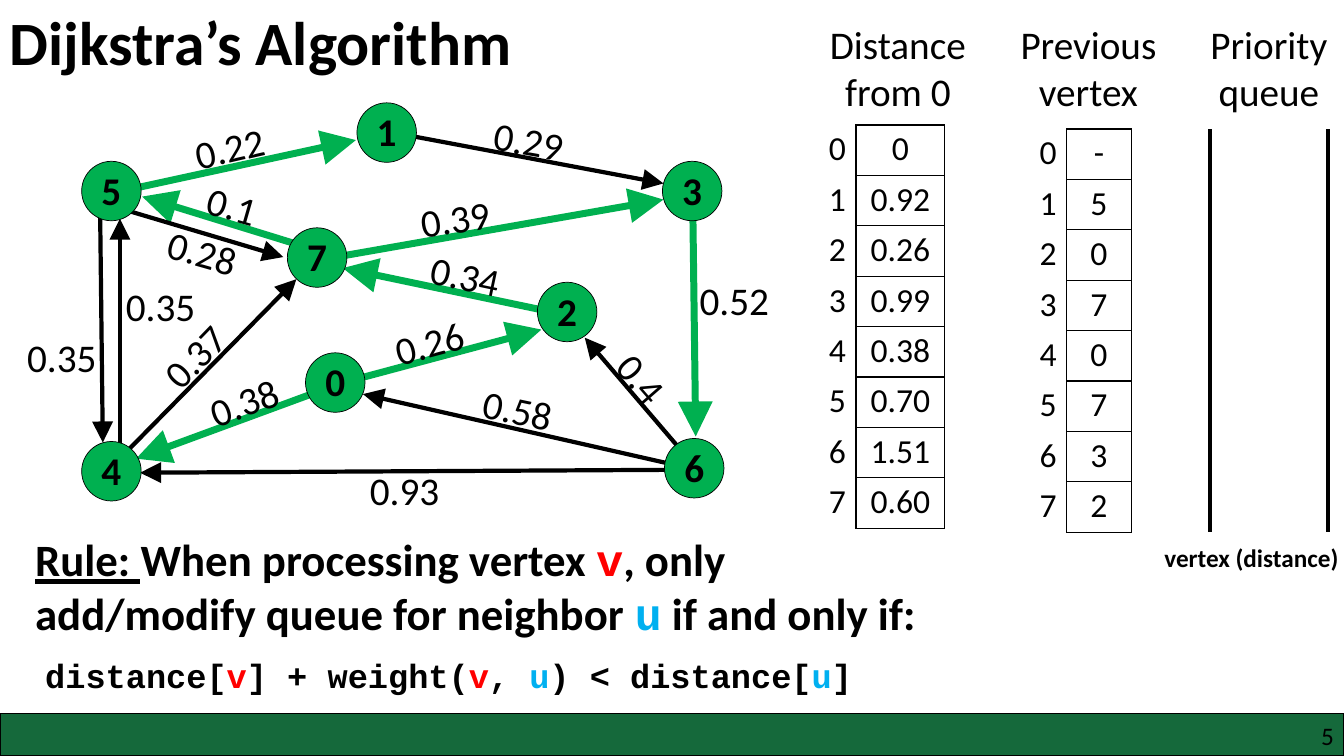
from lxml import etree
from pptx import Presentation
from pptx.dml.color import RGBColor
from pptx.enum.shapes import MSO_CONNECTOR, MSO_SHAPE
from pptx.enum.text import MSO_ANCHOR, PP_ALIGN
from pptx.oxml.ns import qn
from pptx.util import Emu, Pt

STRAIGHT = MSO_CONNECTOR.STRAIGHT
OVAL, RECT = MSO_SHAPE.OVAL, MSO_SHAPE.RECTANGLE
LEFT, CENTER, RIGHT = PP_ALIGN.LEFT, PP_ALIGN.CENTER, PP_ALIGN.RIGHT
TOP, MIDDLE = MSO_ANCHOR.TOP, MSO_ANCHOR.MIDDLE

PX = 9144  # 100 px to the inch
W, H = 1333, 750
BODY, CODE = "Calibri", "Courier New"
BLACK, GREEN, FOOTER = "000000", "00B050", "15693B"
RED, BLUE = "FF0000", "00B0F0"

HEADINGS = [("Distance from 0", 805), ("Previous vertex", 994), ("Priority queue", 1173)]

# left, top, column widths, value for each vertex
TABLES = [
    (994, 128, (64, 64), ["-", "5", "0", "7", "0", "7", "3", "2"]),
    (786, 124, (63, 88), ["0", "0.92", "0.26", "0.99", "0.38", "0.70", "1.51", "0.60"]),
]
ROW = 50

# queue sides
QUEUE_X, QUEUE_Y = (1200, 1317), (128, 528)

VERTEX = 59
VERTICES = [(303, 350), (354, 102), (533, 280), (657, 160),
            (81, 438), (81, 160), (659, 435), (285, 226)]

# start, end, on shortest path, weight, label left and top, label rotation
EDGES = [
    ((692, 466), (580, 335), False, "0.4", (599, 353), 49),
    ((686, 465), (360, 391), False, "0.58", (469, 380), 12),
    ((687, 466), (139, 469), False, "0.93", (357, 458), 0),
    ((335, 381), (537, 327), True, "0.26", (381, 308), 345),
    ((336, 381), (135, 455), True, "0.38", (197, 366), 340),
    ((564, 313), (340, 266), True, "0.34", (417, 247), 12),
    ((107, 467), (294, 277), False, "0.37", (145, 316), 314),
    ((322, 257), (658, 198), True, "0.39", (407, 186), 351),
    ((687, 194), (690, 433), True, "0.52", (684, 269), 0),
    ((313, 248), (141, 195), True, "0.1", (195, 181), 16),
    ((103, 202), (281, 255), False, "0.28", (156, 225), 16),
    ((99, 182), (102, 439), False, "0.35", (17, 326), 0),
    ((119, 458), (119, 217), False, "0.35", (115, 275), 0),
    ((114, 191), (353, 139), True, "0.22", (183, 115), 347),
    ((387, 131), (658, 182), False, "0.29", (480, 113), 10),
]

RULE = [("Rule: ", BODY, BLACK), ("When processing vertex ", BODY, BLACK),
        ("v", CODE, RED), (", only add/modify queue for neighbor ", BODY, BLACK),
        ("u", CODE, BLUE), (" if and only if:", BODY, BLACK)]
CONDITION = [("distance[", CODE, BLACK), ("v", CODE, RED), ("] + weight(", CODE, BLACK),
             ("v", CODE, RED), (", ", CODE, BLACK), ("u", CODE, BLUE),
             (") < distance[", CODE, BLACK), ("u", CODE, BLUE), ("]", CODE, BLACK)]


def px(n):
    return Emu(round(n * PX))


def rgb(value):
    return RGBColor.from_string(value)


def style(font, size, bold=False, color=BLACK, name=BODY):
    font.name, font.size, font.bold = name, Pt(size), bold
    font.color.rgb = rgb(color)


def write(tf, text, size, bold=False, align=LEFT):
    tf.text = text
    p = tf.paragraphs[0]
    p.alignment = align
    style(p.runs[0].font, size, bold)


def add_runs(p, parts, size):
    for text, name, color in parts:
        r = p.add_run()
        r.text = text
        style(r.font, size, True, color, name)


def set_insets(tf, inset):
    tf.margin_left = tf.margin_right = tf.margin_top = tf.margin_bottom = px(inset)


def add_box(x, y, w, h, anchor=TOP):
    s = slide.shapes.add_textbox(px(x), px(y), px(w), px(h))
    tf = s.text_frame
    tf.word_wrap = True
    tf.vertical_anchor = anchor
    return s


def add_line(start, end, color, width, arrow=False):
    s = slide.shapes.add_connector(STRAIGHT, *map(px, start + end))
    s.line.color.rgb = rgb(color)
    s.line.width = Pt(width)
    if arrow:
        etree.SubElement(s.line._get_or_add_ln(), qn("a:tailEnd"),
                         type="triangle", w="lg", len="lg")
    etree.SubElement(s._element.spPr, qn("a:effectLst"))


def add_solid(kind, x, y, w, h, fill, line_width):
    s = slide.shapes.add_shape(kind, px(x), px(y), px(w), px(h))
    s.shadow.inherit = False
    s.fill.solid()
    s.fill.fore_color.rgb = rgb(fill)
    s.line.color.rgb = rgb(BLACK)
    s.line.width = Pt(line_width)
    return s


def set_border(cell, sides):
    """Black 1 pt lines on the given sides, none on the others."""
    tcPr = cell._tc.get_or_add_tcPr()
    for side in "LRTB":
        ln = etree.SubElement(tcPr, qn("a:ln" + side), w=str(Pt(1)))
        if side in sides:
            fill = etree.SubElement(ln, qn("a:solidFill"))
            etree.SubElement(fill, qn("a:srgbClr"), val=BLACK)
        else:
            etree.SubElement(ln, qn("a:noFill"))


def add_vertex_table(x, y, widths, values):
    table = slide.shapes.add_table(len(values), 2, px(x), px(y), px(sum(widths)),
                                   px(ROW * len(values))).table
    table.first_row = table.horz_banding = False
    for column, width in zip(table.columns, widths):
        column.width = px(width)
    for i, value in enumerate(values):
        table.rows[i].height = px(ROW)
        columns = [(str(i), RIGHT, "R"), (value, CENTER, "LRTB")]
        for j, (text, align, sides) in enumerate(columns):
            cell = table.cell(i, j)
            write(cell.text_frame, text, 24, align=align)
            cell.margin_top = cell.margin_bottom = px(4)
            set_border(cell, sides)
            cell.fill.background()


prs = Presentation()
prs.slide_width, prs.slide_height = px(W), px(H)
slide = prs.slides.add_slide(prs.slide_layouts[6])

title = add_box(0, -27, 1150, 145, MIDDLE).text_frame
write(title, "Dijkstra’s Algorithm", 44, True)
title.paragraphs[0].line_spacing = 0.9

for text, x in HEADINGS:
    write(add_box(x, 15, 171, 104).text_frame, text, 28, align=CENTER)
for spec_row in TABLES:
    add_vertex_table(*spec_row)
for x in QUEUE_X:
    add_line((x, QUEUE_Y[0]), (x, QUEUE_Y[1]), BLACK, 3)

for start, end, shortest, *_ in EDGES:
    add_line(start, end, GREEN if shortest else BLACK, 5 if shortest else 3, arrow=True)
for number, (x, y) in enumerate(VERTICES):
    tf = add_solid(OVAL, x, y, VERTEX, VERTEX, GREEN, 0.5).text_frame
    set_insets(tf, 0)
    tf.margin_bottom = px(3)
    tf.vertical_anchor = MIDDLE
    write(tf, str(number), 28, True, CENTER)
for *_, weight, (x, y), rotation in EDGES:
    s = add_box(x, y, 85 if weight == "0.4" else 112, 58)
    s.rotation = rotation
    write(s.text_frame, weight, 28)

add_solid(RECT, 0, 708, W, 42, FOOTER, 1)
tf = add_box(1277, 715, 46, 30).text_frame
set_insets(tf, 0)
write(tf, "5", 18, align=RIGHT)
write(add_box(1145, 533, 204, 40).text_frame, "vertex (distance)", 18, True)

tf = add_box(25, 523, 895, 180).text_frame
rule, condition = tf.paragraphs[0], tf.add_paragraph()
add_runs(rule, RULE, 32)
rule.runs[0].font.underline = True
condition._p.get_or_add_pPr().set("marL", str(px(10)))
condition.space_before = Pt(11)
add_runs(condition, CONDITION, 24)

prs.save("out.pptx")
